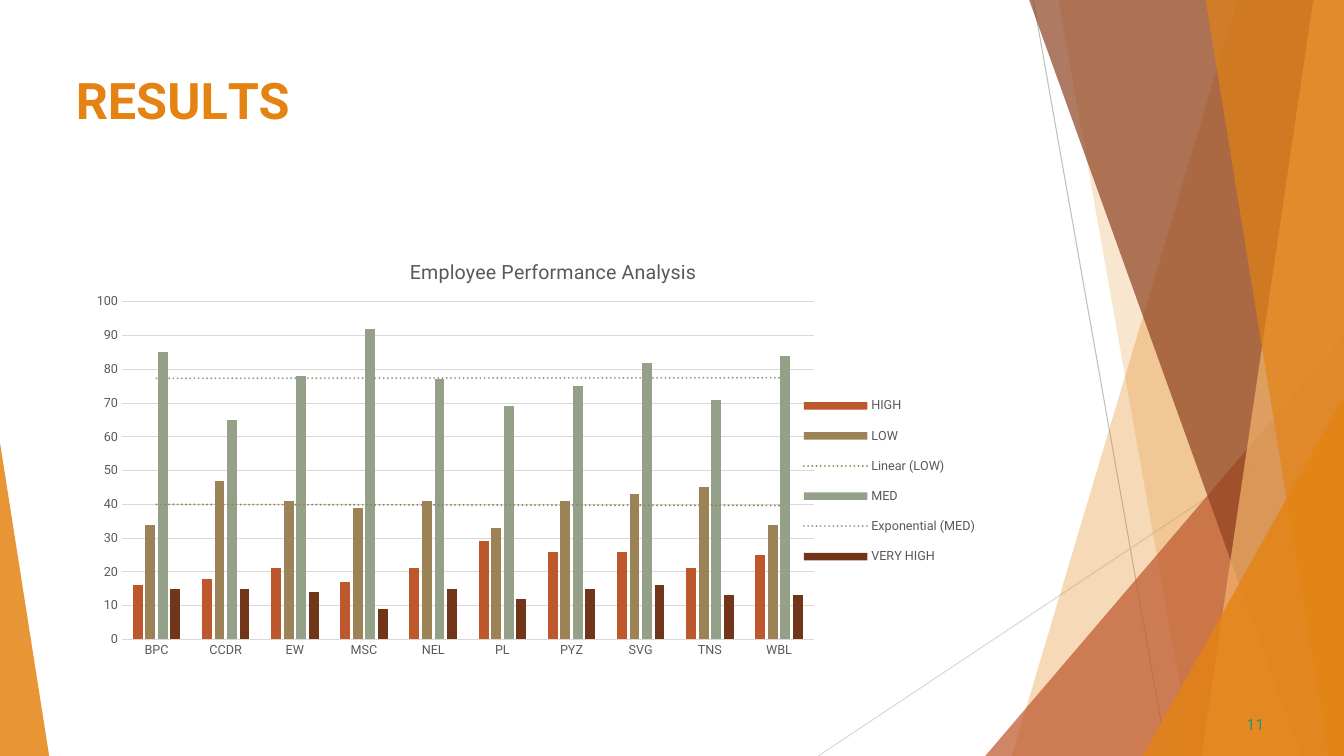
"""Build the employee performance results slide with its faceted side decoration."""
from lxml import etree
from pptx import Presentation
from pptx import util as u
from pptx.chart.data import CategoryChartData
from pptx.dml.color import RGBColor
from pptx.enum import chart as charts, shapes
from pptx.oxml import parse_xml
from pptx.oxml.ns import nsdecls, qn

FONT = "Roboto"
WIDTH, HEIGHT = 33.87, 19.05
ORANGE, GRAY, GRID = "E48312", "595959", "D9D9D9"


def rgb(value):
    """Turn a hex string into a colour."""
    return RGBColor.from_string(value)


def add_text(place, indent, before, size, color, bold, runs):
    """Add a one-paragraph text box from (text, letter spacing) runs."""
    box = slide.shapes.add_textbox(*(u.Cm(value) for value in place))
    frame = box.text_frame
    frame.word_wrap = True
    frame.margin_left = u.Cm(indent)
    frame.margin_right = frame.margin_bottom = 0
    frame.margin_top = u.Cm(0.03)
    paragraph = frame.paragraphs[0]
    paragraph.space_before = u.Pt(before)
    for content, spacing in runs:
        run = paragraph.add_run()
        run.text = content
        run.font.name = FONT
        run.font.size = u.Pt(size)
        run.font.bold = bold
        run.font.color.rgb = rgb(color)
        run._r.get_or_add_rPr().set("spc", str(round(spacing * 100)))


presentation = Presentation()
presentation.slide_width = u.Cm(WIDTH)
presentation.slide_height = u.Cm(HEIGHT)
slide = presentation.slides.add_slide(presentation.slide_layouts[6])

for start_x, start_y, end_x, color in (
    (26.04, 0, 29.41, "BFBFBF"),
    (WIDTH, 10.24, 20.62, GRID),
):
    line = slide.shapes.add_connector(
        shapes.MSO_CONNECTOR.STRAIGHT,
        u.Cm(start_x), u.Cm(start_y), u.Cm(end_x), u.Cm(HEIGHT))
    line.line.color.rgb = rgb(color)
    line.line.width = u.Pt(0.75)
    etree.SubElement(line.element.spPr, qn("a:effectLst"))

# kind, then top and bottom x of a band, or width and height of a triangle
facets = (
    ("band", 31.19, 25.5, ORANGE, 30),
    ("band", 26.67, 30.05, ORANGE, 20),
    ("right triangle", 9.04, 10.59, "BD582C", 72),
    ("band", 25.93, 32.79, "8E4221", 70),
    ("band", 33.1, 30.28, "F3B56C", 70),
    ("band", 30.38, 33.48, ORANGE, 65),
    ("right triangle", 5.07, 9.07, ORANGE, 80),
    ("left triangle", 1.24, 7.9, ORANGE, 85),
)
for kind, first, second, color, opacity in facets:
    if kind == "band":
        builder = slide.shapes.build_freeform(u.Cm(first), u.Cm(-0.02))
        corners = ((WIDTH, -0.02), (WIDTH, HEIGHT), (second, HEIGHT))
        builder.add_line_segments([(u.Cm(x), u.Cm(y)) for x, y in corners])
        facet = builder.convert_to_shape()
    else:
        on_right = kind == "right triangle"
        facet = slide.shapes.add_shape(
            shapes.MSO_SHAPE.ISOSCELES_TRIANGLE,
            u.Cm(WIDTH - first if on_right else 0), u.Cm(HEIGHT - second),
            u.Cm(first), u.Cm(second))
        facet.adjustments[0] = 1 if on_right else 0
    facet.shadow.inherit = False
    facet.fill.solid()
    facet.fill.fore_color.rgb = rgb(color)
    facet.line.fill.background()
    fill_color = next(facet.element.iter(qn("a:srgbClr")))
    etree.SubElement(fill_color, qn("a:alpha")).set("val", str(opacity * 1000))

add_text((1.88, 1.7, 23.88, 3.66), 0.03, 1.1, 36, ORANGE, True,
         (("R", 0), ("E", -0.4), ("S", 0.1), ("U", -0.3), ("L", -4), ("TS", 0)))
add_text((31.32, 17.98, 0.64, 0.53), 0.1, 0.6, 11, "2D936B", False, (("11", 0.1),))

series_rows = (
    ("HIGH", "BD582C", None, (16, 18, 21, 17, 21, 29, 26, 26, 21, 25)),
    ("LOW", "9B8357", "linear", (34, 47, 41, 39, 41, 33, 41, 43, 45, 34)),
    ("MED", "94A088", "exp", (85, 65, 78, 92, 77, 69, 75, 82, 71, 84)),
    ("VERY HIGH", "71351A", None, (15, 15, 14, 9, 15, 12, 15, 16, 13, 13)),
)
data = CategoryChartData()
data.categories = ("BPC", "CCDR", "EW", "MSC", "NEL", "PL", "PYZ", "SVG", "TNS", "WBL")
for name, color, trend, values in series_rows:
    data.add_series(name, values)
chart = slide.shapes.add_chart(
    charts.XL_CHART_TYPE.COLUMN_CLUSTERED,
    u.Cm(1.88), u.Cm(5.99), u.Cm(23.88), u.Cm(10.77), data).chart
chart.font.name = FONT
chart.font.size = u.Pt(10)

chart.has_title = True
title_run = chart.chart_title.text_frame.paragraphs[0].add_run()
title_run.text = "Employee Performance Analysis"
title_run.font.name = FONT
title_run.font.size = u.Pt(14)
title_run.font.bold = False
title_run.font.color.rgb = rgb(GRAY)

chart.has_legend = True
chart.legend.position = charts.XL_LEGEND_POSITION.RIGHT
chart.legend.include_in_layout = False

categories, scale = chart.category_axis, chart.value_axis
for font in (chart.legend.font, categories.tick_labels.font, scale.tick_labels.font):
    font.name = FONT
    font.size = u.Pt(9)
    font.color.rgb = rgb(GRAY)
for axis in (categories, scale):
    axis.major_tick_mark = axis.minor_tick_mark = charts.XL_TICK_MARK.NONE
scale.minimum_scale, scale.maximum_scale, scale.major_unit = 0, 100, 10
scale.has_major_gridlines = True
scale.format.line.fill.background()
for rule in (categories.format.line, scale.major_gridlines.format.line):
    rule.color.rgb = rgb(GRID)
    rule.width = u.Pt(0.75)

plot = chart.plots[0]
plot.vary_by_categories = False
plot.gap_width = 219
plot.overlap = -27
series_elements = chart.element.iter(qn("c:ser"))
for series, element, (name, color, trend, values) in zip(
        plot.series, series_elements, series_rows):
    series.format.fill.solid()
    series.format.fill.fore_color.rgb = rgb(color)
    if trend:
        element.find(qn("c:cat")).addprevious(parse_xml(
            f'<c:trendline {nsdecls("c", "a")}><c:spPr><a:ln w="19050" cap="rnd">'
            f'<a:solidFill><a:srgbClr val="{color}"/></a:solidFill>'
            '<a:prstDash val="sysDot"/></a:ln></c:spPr>'
            f'<c:trendlineType val="{trend}"/><c:dispRSqr val="0"/>'
            '<c:dispEq val="0"/></c:trendline>'))

for tag, index, target, place in (
    ("c:title", 1, "", {"x": 0.35, "y": 0.04}),
    ("c:plotArea", 0, "inner", {"x": 0.05, "y": 0.15, "w": 0.73, "h": 0.79}),
    ("c:legend", 1, "", {"x": 0.76, "y": 0.34, "w": 0.2, "h": 0.46}),
):
    part = next(chart.element.iter(qn(tag)))
    for previous in part.findall(qn("c:layout")):
        part.remove(previous)
    layout = etree.Element(qn("c:layout"))
    manual = etree.SubElement(layout, qn("c:manualLayout"))
    if target:
        etree.SubElement(manual, qn("c:layoutTarget")).set("val", target)
    for side in ("x", "y"):
        etree.SubElement(manual, qn(f"c:{side}Mode")).set("val", "edge")
    for side, value in place.items():
        etree.SubElement(manual, qn(f"c:{side}")).set("val", str(value))
    part.insert(index, layout)

presentation.save("out.pptx")
